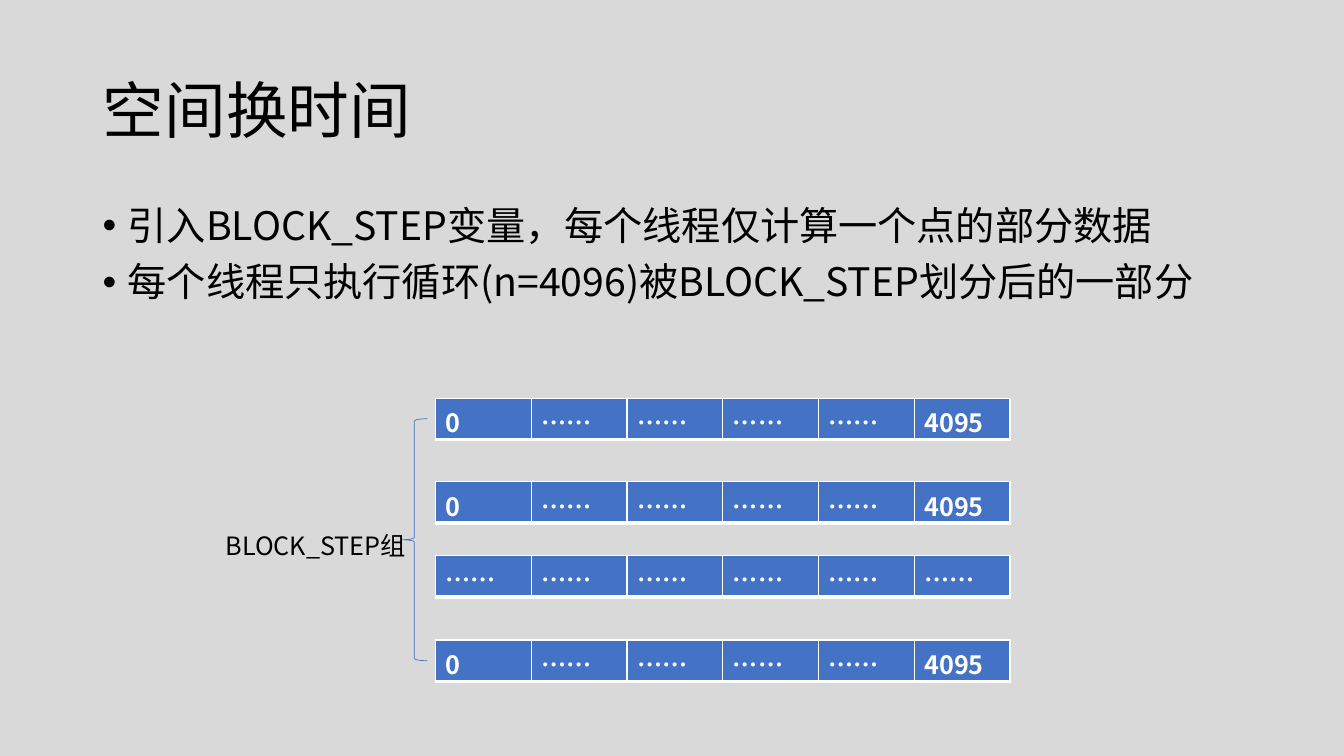
from dataclasses import dataclass

from lxml.etree import SubElement
from pptx import Presentation
from pptx.dml.color import RGBColor
from pptx.enum.shapes import MSO_SHAPE
from pptx.enum.text import MSO_ANCHOR, MSO_AUTO_SIZE, PP_ALIGN
from pptx.oxml import parse_xml
from pptx.oxml.ns import nsdecls, qn
from pptx.util import Inches, Pt

TITLE = "空间换时间"
BULLETS = [
    "引入BLOCK_STEP变量，每个线程仅计算一个点的部分数据",
    "每个线程只执行循环(n=4096)被BLOCK_STEP划分后的一部分",
]
GROUP_LABEL = "BLOCK_STEP组"
DOTS = "……"
LOOP = ["0", *[DOTS] * 4, "4095"]
ELIDED = [DOTS] * len(LOOP)
# top of each strip in inches, and its cells
STRIPS = [(3.95, LOOP), (4.78, LOOP), (5.51, ELIDED), (6.35, LOOP)]


@dataclass(frozen=True)
class Theme:
    font: str = "Noto Sans CJK SC"
    background: str = "D9D9D9"
    ink: str = "000000"
    accent: str = "4472C4"
    white: str = "FFFFFF"
    title: int = 44
    body: int = 28
    small: int = 18


THEME = Theme()
WIDTH, HEIGHT = 13.33, 7.5
MARGIN = 0.92
CONTENT_W = 11.5
STRIP_LEFT, CELL_W, CELL_H = 4.32, 0.95, 0.41
BRACE_W, BRACE_GAP = 0.26, 0.08
BORDERS = {"lnL": 1, "lnR": 1, "lnT": 1, "lnB": 3}


def rgb(color):
    return RGBColor.from_string(color)


def box(*lengths):
    return [Inches(v) for v in lengths]


def write(p, text, size=THEME.small, color=THEME.ink, bold=False,
          line=1.0, before=0, bullet=False):
    p.alignment = PP_ALIGN.LEFT
    p.line_spacing = line
    p.space_before = Pt(before)
    if bullet:
        pPr = p._p.get_or_add_pPr()
        pPr.set("marL", str(Inches(0.25)))
        pPr.set("indent", str(Inches(-0.25)))
        SubElement(pPr, qn("a:buFont")).set("typeface", "Arial")
        SubElement(pPr, qn("a:buChar")).set("char", "•")
    r = p.add_run()
    r.text = text
    r.font.size = Pt(size)
    r.font.bold = bold
    r.font.color.rgb = rgb(color)
    r.font.name = THEME.font
    SubElement(r._r.get_or_add_rPr(), qn("a:ea")).set("typeface", THEME.font)


def add_title(s):
    sp = s.shapes.title
    sp.left, sp.top, sp.width, sp.height = box(MARGIN, 0.4, CONTENT_W, 1.45)
    tf = sp.text_frame
    tf.auto_size = MSO_AUTO_SIZE.NONE
    tf.vertical_anchor = MSO_ANCHOR.MIDDLE
    write(tf.paragraphs[0], TITLE, size=THEME.title, line=0.9)


def add_bullets(s):
    tf = s.shapes.add_textbox(*box(MARGIN, 2, CONTENT_W, 4.76)).text_frame
    tf.word_wrap = True
    for i, text in enumerate(BULLETS):
        p = tf.add_paragraph() if i else tf.paragraphs[0]
        write(p, text, size=THEME.body, line=0.9, before=10, bullet=True)


def set_borders(cell):
    tcPr = cell._tc.get_or_add_tcPr()
    for i, (side, width) in enumerate(BORDERS.items()):
        tcPr.insert(i, parse_xml(
            f'<a:{side} {nsdecls("a")} w="{Pt(width)}"><a:solidFill>'
            f'<a:srgbClr val="{THEME.white}"/></a:solidFill></a:{side}>'))


def add_strip(s, top, values):
    """One table row showing the loop range of a group."""
    n = len(values)
    table = s.shapes.add_table(
        1, n, *box(STRIP_LEFT, top, n * CELL_W, CELL_H)).table
    for cell, text in zip(table.rows[0].cells, values):
        cell.fill.solid()
        cell.fill.fore_color.rgb = rgb(THEME.accent)
        set_borders(cell)
        write(cell.text_frame.paragraphs[0], text,
              color=THEME.white, bold=True)


def add_group_brace(s):
    """Brace from the middle of the first strip to that of the last."""
    first, last = (STRIPS[i][0] + CELL_H / 2 for i in (0, -1))
    left = STRIP_LEFT - BRACE_GAP - BRACE_W
    sp = s.shapes.add_shape(MSO_SHAPE.LEFT_BRACE,
                            *box(left, first, BRACE_W, last - first))
    sp.shadow.inherit = False
    sp.fill.background()
    sp.line.color.rgb = rgb(THEME.accent)
    sp.line.width = Pt(0.5)


def add_group_label(s):
    tf = s.shapes.add_textbox(*box(2.14, 5.21, 2.34, 0.4)).text_frame
    tf.word_wrap = True
    tf.auto_size = MSO_AUTO_SIZE.SHAPE_TO_FIT_TEXT
    write(tf.paragraphs[0], GROUP_LABEL)


def main():
    prs = Presentation()
    prs.slide_width, prs.slide_height = box(WIDTH, HEIGHT)
    s = prs.slides.add_slide(prs.slide_layouts.get_by_name("Title Only"))
    s.background.fill.solid()
    s.background.fill.fore_color.rgb = rgb(THEME.background)
    add_title(s)
    add_bullets(s)
    for top, values in STRIPS:
        add_strip(s, top, values)
    add_group_brace(s)
    add_group_label(s)
    prs.save("out.pptx")


if __name__ == "__main__":
    main()
